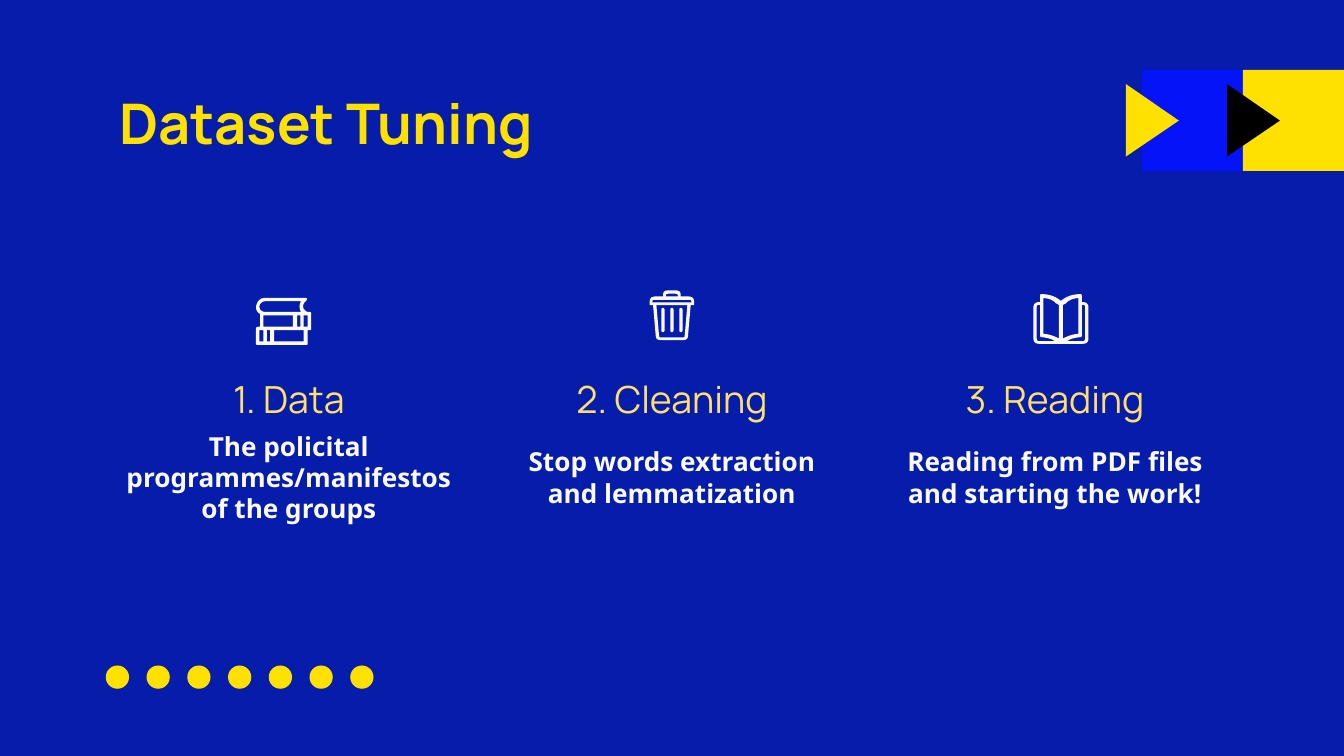
import pptx
import pptx.dml.color
import pptx.enum.shapes
import pptx.enum.text
import pptx.util
from pptx.util import Cm

RGBColor = pptx.dml.color.RGBColor
Shape = pptx.enum.shapes.MSO_SHAPE
Align = pptx.enum.text.PP_ALIGN

NAVY = RGBColor(0x05, 0x1D, 0xAA)
BLUE = RGBColor(0x04, 0x13, 0xF8)
YELLOW = RGBColor(0xFF, 0xE1, 0x00)
PALE_YELLOW = RGBColor(0xFF, 0xDE, 0x6B)
BLACK = RGBColor(0, 0, 0)
OFF_WHITE = RGBColor(0xFB, 0xFA, 0xFF)

ICON_UNIT = Cm(2.54) / 100
CURVE_STEPS = 6


def box(left, top, right, bottom):
    return [(left, top), (right, top), (right, bottom), (left, bottom)]


def mirrored(contour, width):
    return [tuple(width - v if i % 2 == 0 else v for i, v in enumerate(node))
            for node in contour]


def flatten(contour):
    """Turn nodes into points: a pair is a corner, six numbers a cubic curve."""
    points = []
    for node in contour:
        if len(node) == 2:
            points.append(node)
            continue
        curve = [points[-1], node[:2], node[2:4], node[4:]]
        for step in range(1, CURVE_STEPS + 1):
            t = step / CURVE_STEPS
            weights = ((1 - t) ** 3, 3 * t * (1 - t) ** 2, 3 * t * t * (1 - t), t ** 3)
            points.append(tuple(sum(w * p[axis] for w, p in zip(weights, curve))
                                for axis in (0, 1)))
    return points


# Icon contours are in hundredths of an inch; inner contours are holes.
BOOK_STACK = [
    [(7, 0), (4, 0, 2, 1.5, 1, 3.5), (-1, 7, 0, 10.5, 3, 12), (3, 21.5), (1.5, 21.5),
     (0.5, 21.5, 0, 22, 0, 23), (0, 34), (0, 35, 0.5, 35, 1.5, 35), (37, 35),
     (38, 35, 38.5, 35, 38.5, 34), (38.5, 24), (40, 24), (41, 24, 41, 23.5, 41, 23),
     (41, 12), (41, 11, 41, 10.5, 40, 10.5), (38, 10.5), (34, 8, 34, 5, 37.5, 2),
     (38, 1, 38, 0, 37, 0)],
    [(33.5, 2.5), (32, 5, 32, 8, 33.5, 10.5), (7, 10.5), (4.5, 10.5, 2.5, 9, 2.5, 6.5),
     (2.5, 4.5, 4.5, 2.5, 7, 2.5)],
    *[box(left, 13, right, 21.5) for left, right in ((5.5, 27.5), (30.5, 33), (35.5, 38.5))],
    *[box(left, 24, right, 32.5) for left, right in ((2.5, 5.5), (8, 10.5), (13.5, 35.5))],
]
BIN = [
    [(14, 0), (11, 0, 10, 1, 10, 3), (10, 4.5), (4, 4.5), (1.5, 4.5, 0, 6, 0, 8), (0, 10),
     (0, 11, 0, 11, 1, 11), (2.5, 11), (4.5, 34), (4.5, 36, 6, 37, 8, 37), (25, 37),
     (27, 37, 28.5, 36, 28.5, 34), (30.5, 11), (32, 11), (33, 11, 33, 11, 33, 10), (33, 8),
     (33, 6, 31.5, 4.5, 29, 4.5), (23, 4.5), (23, 3), (23, 1, 22, 0, 19, 0)],
    [(19, 2.5), (20, 2.5, 21, 3, 21, 3.5), (21, 4.5), (12, 4.5), (12, 3.5),
     (12, 3, 13, 2.5, 14, 2.5)],
    [(29, 7), (30, 7, 31, 7, 31, 8), (31, 9), (2, 9), (2, 8), (2, 7, 3, 7, 4, 7)],
    [(28, 11), (26, 34), (26, 35, 25, 35, 25, 35), (8, 35), (7, 35, 7, 34, 7, 34), (5, 11)],
]
PAGE = [(7.5, 3), (11, 3, 15, 4.5, 17, 7), (19, 8), (19, 33), (15, 31, 12, 30, 7.5, 29.5)]
COVER = [(5, 8), (5, 31), (5, 32, 6, 32, 6, 32), (10, 32.5, 13, 33, 16, 35), (4, 35),
         (3, 35, 2.5, 34, 2.5, 33), (2.5, 9.5), (2.5, 8.5, 3, 8, 4, 8)]
OPEN_BOOK = [
    [(6, 0), (5, 0, 5, 1, 5, 1), (5, 6), (4, 6), (2, 6, 0, 7, 0, 10), (0, 33),
     (0, 36, 2, 37, 4, 37), (37, 37), (39, 37, 41, 36, 41, 33), (41, 10),
     (41, 7, 39, 6, 37, 6), (36, 6), (36, 1), (36, 1, 36, 0, 35, 0),
     (29, 0, 24, 2, 20.5, 5), (17, 2, 12, 0, 6, 0)],
    PAGE, mirrored(PAGE, 41), COVER, mirrored(COVER, 41),
]


class SlideBuilder:
    """Draws on one slide; positions and sizes are in centimetres."""

    def __init__(self, slide, background):
        self.slide = slide
        slide.background.fill.solid()
        slide.background.fill.fore_color.rgb = background

    def paint(self, shape, color):
        shape.shadow.inherit = False
        shape.fill.solid()
        shape.fill.fore_color.rgb = color
        shape.line.fill.background()

    def preset(self, kind, left, top, width, height, color):
        shape = self.slide.shapes.add_shape(kind, Cm(left), Cm(top), Cm(width), Cm(height))
        self.paint(shape, color)
        return shape

    def outline(self, contours, left, top, color, unit=ICON_UNIT):
        """Fill closed contours whose coordinates are multiples of unit."""
        drawn = [[(Cm(left) + x * unit, Cm(top) + y * unit) for x, y in flatten(contour)]
                 for contour in contours]
        builder = self.slide.shapes.build_freeform(*drawn[0][0])
        for number, points in enumerate(drawn):
            if number:
                builder.move_to(*points[0])
            builder.add_line_segments(points[1:], close=True)
        self.paint(builder.convert_to_shape(), color)

    def text(self, words, left, top, width, height, size, font, color,
             bold=False, align=Align.CENTER):
        frame = self.slide.shapes.add_textbox(Cm(left), Cm(top), Cm(width), Cm(height)).text_frame
        frame.word_wrap = True
        frame.vertical_anchor = pptx.enum.text.MSO_ANCHOR.MIDDLE
        frame.margin_left = frame.margin_right = Cm(0.25)
        frame.margin_top = frame.margin_bottom = Cm(0.25)
        frame.text = words
        paragraph = frame.paragraphs[0]
        paragraph.alignment = align
        style = paragraph.runs[0].font
        style.size = pptx.util.Pt(size)
        style.name = font
        style.bold = bold
        style.color.rgb = color


def main():
    deck = pptx.Presentation()
    deck.slide_width, deck.slide_height = Cm(25.4), Cm(14.29)
    page = SlideBuilder(deck.slides.add_slide(deck.slide_layouts[6]), NAVY)

    square = 1.91
    arrow = [[(0, 0), (1, 0.69), (0, 1.37)]]
    for index, (square_color, arrow_color) in enumerate([(BLUE, YELLOW), (YELLOW, BLACK)]):
        shift = index * square
        page.preset(Shape.RECTANGLE, 21.58 + shift, 1.32, square, square, square_color)
        page.outline(arrow, 21.28 + shift, 1.59, arrow_color, unit=Cm(1))

    for index in range(7):
        page.preset(Shape.OVAL, 2 + index * 0.77, 12.58, 0.44, 0.44, YELLOW)

    page.text("Dataset Tuning", 2, 1.5, 21.42, 1.6, 30, "Manrope", YELLOW,
              bold=True, align=Align.LEFT)

    steps = [
        ("1. Data", "The policital programmes/manifestos of the groups"),
        ("2. Cleaning", "Stop words extraction and lemmatization"),
        ("3. Reading", "Reading from PDF files and starting the work!"),
    ]
    heading_width, detail_width = 6.5, 6.92
    for index, (heading, detail) in enumerate(steps):
        center = 5.46 + index * 7.24
        page.text(heading, center - heading_width / 2, 6.86, heading_width, 1.34,
                  20, "Manrope", PALE_YELLOW)
        page.text(detail, center - detail_width / 2, 7.7, detail_width, 2.64,
                  14, "Noto Sans", OFF_WHITE, bold=True)

    page.outline(BOOK_STACK, 4.84, 5.63, OFF_WHITE)
    page.outline(BIN, 12.28, 5.49, OFF_WHITE)
    for offset in (-0.17, 0, 0.17):
        slot = page.preset(Shape.ROUNDED_RECTANGLE, 12.67 + offset, 5.82, 0.06, 0.46, OFF_WHITE)
        slot.adjustments[0] = 0.5
    page.outline(OPEN_BOOK, 19.53, 5.56, OFF_WHITE)

    deck.save("out.pptx")


if __name__ == "__main__":
    main()
